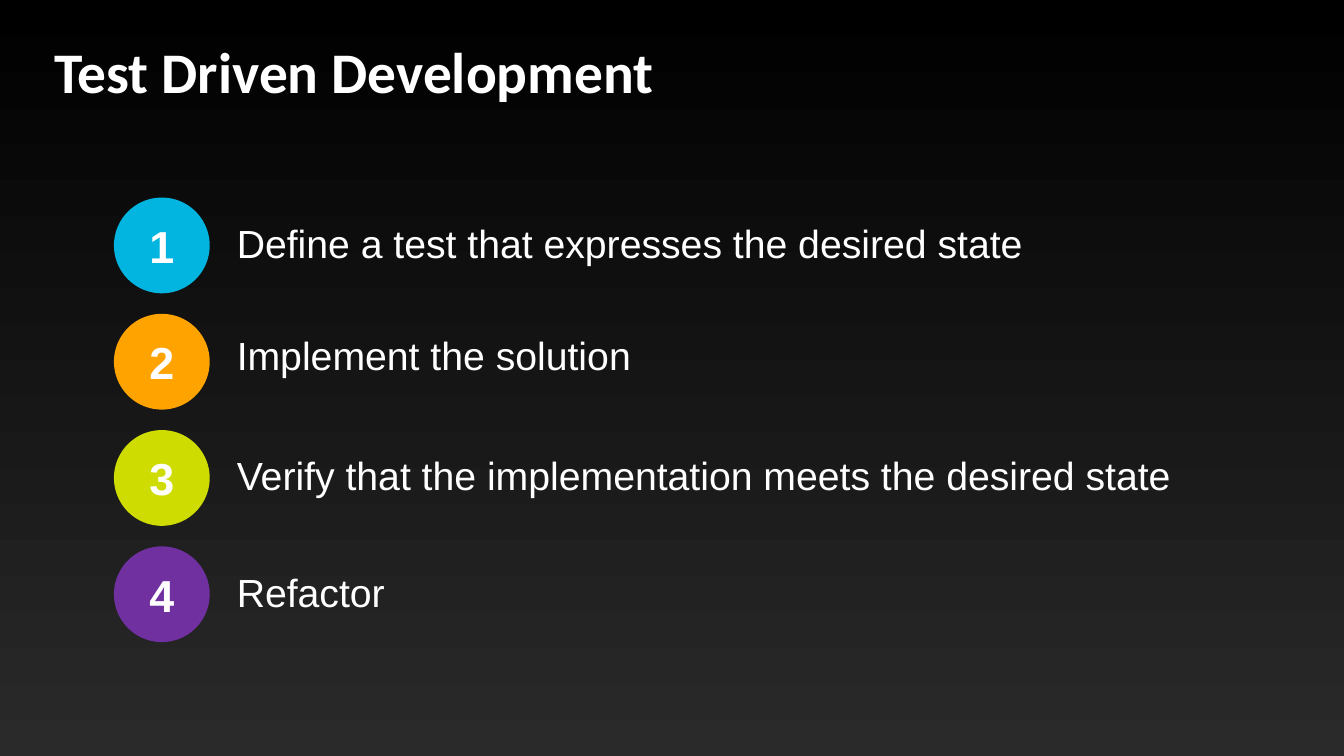
import pptx
import pptx.dml.color
import pptx.enum.shapes
import pptx.enum.text
import pptx.util

Inches = pptx.util.Inches
RGBColor = pptx.dml.color.RGBColor

BLACK = RGBColor(0x00, 0x00, 0x00)
CHARCOAL = RGBColor(0x2A, 0x2A, 0x2A)
WHITE = RGBColor(0xFF, 0xFF, 0xFF)
CYAN = RGBColor(0x02, 0xB4, 0xE0)
ORANGE = RGBColor(0xFE, 0xA3, 0x00)
LIME = RGBColor(0xCE, 0xDC, 0x01)
PURPLE = RGBColor(0x70, 0x30, 0xA0)

STEPS = [
    ("Define a test that expresses the desired state", CYAN, Inches(0.12)),
    ("Implement the solution", ORANGE, Inches(0.07)),
    ("Verify that the implementation meets the desired state", LIME, Inches(0.11)),
    ("Refactor", PURPLE, Inches(0.12)),
]


def write_text(shape, text, size, font="Arial", bold=False, spacing=None,
               align=pptx.enum.text.PP_ALIGN.LEFT,
               anchor=pptx.enum.text.MSO_ANCHOR.TOP, vertical_inset=Inches(0.1)):
    frame = shape.text_frame
    frame.word_wrap = True
    frame.vertical_anchor = anchor
    frame.margin_left = frame.margin_right = Inches(0.1)
    frame.margin_top = frame.margin_bottom = vertical_inset
    paragraph = frame.paragraphs[0]
    paragraph.alignment = align
    paragraph.line_spacing = spacing
    run = paragraph.add_run()
    run.text = text
    run.font.name = font
    run.font.size = pptx.util.Pt(size)
    run.font.bold = bold
    run.font.color.rgb = WHITE


def paint_background(slide):
    fill = slide.background.fill
    fill.gradient()
    fill.gradient_angle = 270
    for stop, color in zip(fill.gradient_stops, (BLACK, CHARCOAL)):
        stop.color.rgb = color


def add_title(slide, left, top, width, height):
    title = slide.shapes.add_textbox(left, top, width, height)
    write_text(title, "Test Driven Development", 41, font="Calibri", bold=True,
               spacing=0.9, anchor=pptx.enum.text.MSO_ANCHOR.MIDDLE)


def add_steps(slide, left, top, width, height):
    diameter = Inches(0.95)
    label_indent = Inches(1.12)
    pitch = (height - diameter) // (len(STEPS) - 1)
    for index, (label, color, label_drop) in enumerate(STEPS):
        step_top = top + index * pitch
        circle = slide.shapes.add_shape(
            pptx.enum.shapes.MSO_SHAPE.OVAL, left, step_top, diameter, diameter)
        circle.shadow.inherit = False
        circle.fill.solid()
        circle.fill.fore_color.rgb = color
        circle.line.fill.background()
        write_text(circle, str(index + 1), 32, bold=True,
                   align=pptx.enum.text.PP_ALIGN.CENTER,
                   anchor=pptx.enum.text.MSO_ANCHOR.MIDDLE,
                   vertical_inset=Inches(0.05))
        label_box = slide.shapes.add_textbox(
            left + label_indent, step_top + label_drop,
            width - label_indent, Inches(0.67))
        write_text(label_box, label, 28)


def main():
    presentation = pptx.Presentation()
    presentation.slide_width = Inches(13.33)
    presentation.slide_height = Inches(7.5)
    slide = presentation.slides.add_slide(presentation.slide_layouts[6])
    paint_background(slide)
    add_title(slide, Inches(0.44), Inches(0.4), Inches(12.45), Inches(0.68))
    add_steps(slide, Inches(1.13), Inches(1.96), Inches(11.51), Inches(4.41))
    presentation.save("out.pptx")


if __name__ == "__main__":
    main()
